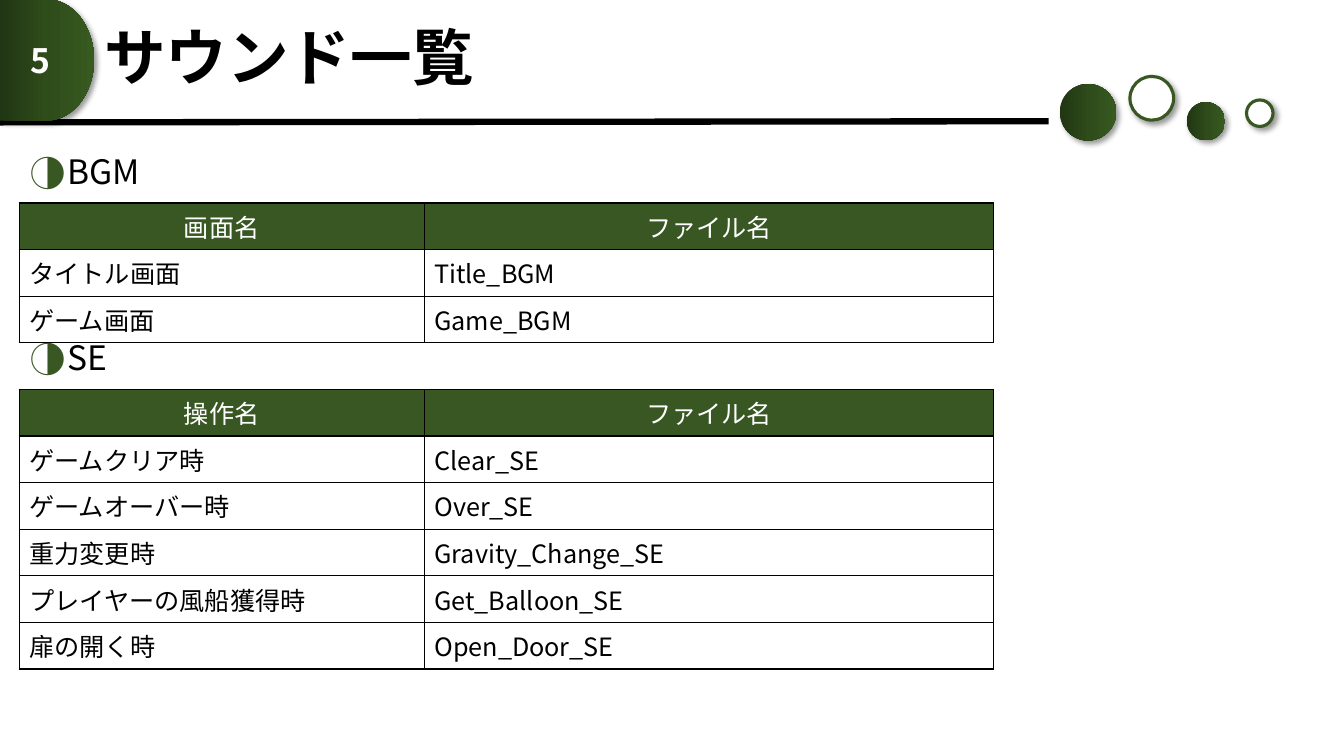
from copy import deepcopy
from pptx import Presentation
from pptx.dml.color import RGBColor as Rgb
from pptx.enum.shapes import MSO_CONNECTOR as Link, MSO_SHAPE as Kind
from pptx.enum.text import MSO_ANCHOR as Anchor, MSO_AUTO_SIZE as Auto, PP_ALIGN as Align
from pptx.oxml.ns import qn
from pptx.oxml.xmlchemy import OxmlElement as Node
from pptx.util import Pt

TITLE = "サウンド一覧"
PAGE = "5"
PARTS = [
    ("BGM", 107.2, [
        ("画面名", "ファイル名"),
        ("タイトル画面", "Title_BGM"),
        ("ゲーム画面", "Game_BGM"),
    ]),
    ("SE", 240.4, [
        ("操作名", "ファイル名"),
        ("ゲームクリア時", "Clear_SE"),
        ("ゲームオーバー時", "Over_SE"),
        ("重力変更時", "Gravity_Change_SE"),
        ("プレイヤーの風船獲得時", "Get_Balloon_SE"),
        ("扉の開く時", "Open_Door_SE"),
    ]),
]
DOTS = [
    (756.9, 60, 40.4, True),
    (807.1, 54.6, 31.2, False),
    (847.6, 72.9, 27.4, True),
    (890.4, 71.4, 18.9, False),
]
COLORS = {
    "green": "385723", "black": "000000", "white": "FFFFFF",
    "dark": "213613", "mid": "2F4C1B", "light": "375A20",
}
FONT = "Noto Sans CJK JP"
LEFT, HEAD_H, ROW_H = 13.7, 37.8, 29.2
COLS = (289.4, 406.8)


def tint(name):
    return Rgb.from_string(COLORS[name])


def add(parent, tag, **attrs):
    node = Node(tag)
    for key, val in attrs.items():
        node.set(key, str(val))
    parent.append(node)
    return node


def place(shape, x, y, w, h):
    shape.left, shape.top, shape.width, shape.height = Pt(x), Pt(y), Pt(w), Pt(h)


def write(para, text, size, color="black", bold=False, align=Align.LEFT):
    para.alignment = align
    run = para.add_run()
    run.text = text
    font = run.font
    font.name, font.size, font.bold = FONT, Pt(size), bold
    font.color.rgb = tint(color)
    add(run._r.get_or_add_rPr(), "a:ea", typeface=FONT)


def shade(shape):
    shape.shadow.inherit = False
    effects = shape._element.spPr.find(qn("a:effectLst"))
    outer = add(effects, "a:outerShdw", blurRad=Pt(4), dist=Pt(3),
                dir=45 * 60000, algn="tl", rotWithShape=0)
    add(add(outer, "a:srgbClr", val=COLORS["black"]), "a:alpha", val=40000)


def blend(shape, middle):
    shape.line.fill.background()
    fill = shape.fill
    fill.gradient()
    fill.gradient_angle = 0
    stops = shape._element.spPr.find(qn("a:gradFill")).find(qn("a:gsLst"))
    stops.insert(1, deepcopy(stops[0]))
    for stop, spot, name in zip(fill.gradient_stops, (0, middle, 1),
                                ("dark", "mid", "light")):
        stop.position = spot
        stop.color.rgb = tint(name)


def bullet(para):
    props = para._p.get_or_add_pPr()
    props.set("marL", str(Pt(27)))
    props.set("indent", str(Pt(-27)))
    add(add(props, "a:buClr"), "a:srgbClr", val=COLORS["green"])
    add(props, "a:buSzPct", val=110000)
    add(props, "a:buFont", typeface=FONT)
    add(props, "a:buChar", char="◑")


def border(cell):
    props = cell._tc.get_or_add_tcPr()
    for side in "LRTB":
        line = add(props, "a:ln" + side, w=Pt(1))
        add(add(line, "a:solidFill"), "a:srgbClr", val=COLORS["black"])


def draw_table(slide, top, rows):
    frame = slide.shapes.add_table(len(rows), len(COLS), Pt(LEFT), Pt(top),
                                   Pt(sum(COLS)), Pt(ROW_H * len(rows)))
    table = frame.table
    table.horz_banding = False
    for col, width in zip(table.columns, COLS):
        col.width = Pt(width)
    for i, row in enumerate(rows):
        table.rows[i].height = Pt(ROW_H)
        for j, text in enumerate(row):
            cell = table.cell(i, j)
            border(cell)
            cell.fill.solid()
            cell.fill.fore_color.rgb = tint("white" if i else "green")
            write(cell.text_frame.paragraphs[0], text, 18,
                  "black" if i else "white",
                  align=Align.LEFT if i else Align.CENTER)


def main():
    deck = Presentation()
    deck.slide_width, deck.slide_height = Pt(960), Pt(540)
    slide = deck.slides.add_slide(deck.slide_layouts[3])
    shapes = slide.shapes
    title, *heads = slide.placeholders

    rule = shapes.add_connector(Link.STRAIGHT, Pt(0), Pt(87.4), Pt(749), Pt(86.6))
    rule.line.color.rgb = tint("black")
    rule.line.width = Pt(4.5)
    add(rule._element.spPr, "a:effectLst")

    for x, y, size, full in DOTS:
        dot = shapes.add_shape(Kind.OVAL, Pt(x), Pt(y), Pt(size), Pt(size))
        if full:
            blend(dot, 0.54)
        else:
            dot.fill.solid()
            dot.fill.fore_color.rgb = tint("white")
            dot.line.color.rgb = tint("green")
            dot.line.width = Pt(2.25)
        shade(dot)

    badge = shapes.add_shape(Kind.FLOWCHART_DELAY, Pt(0), Pt(-0.5), Pt(67.2), Pt(86.6))
    blend(badge, 0.5)
    shade(badge)
    badge.text_frame.vertical_anchor = Anchor.MIDDLE
    write(badge.text_frame.paragraphs[0], PAGE, 24, "white", True, Align.CENTER)

    place(title, 67.2, 0, 681.8, 86.4)
    title.text_frame.auto_size = Auto.NONE
    title.text_frame.vertical_anchor = Anchor.MIDDLE
    para = title.text_frame.paragraphs[0]
    para.line_spacing = 0.9
    write(para, TITLE, 44, bold=True)

    for head, (name, top, rows) in zip(heads, PARTS):
        place(head, LEFT, top, sum(COLS), HEAD_H)
        head.text_frame.auto_size = Auto.NONE
        para = head.text_frame.paragraphs[0]
        bullet(para)
        para.line_spacing = 0.9
        para.space_before = Pt(0)
        write(para, name, 24)
        draw_table(slide, top + HEAD_H, rows)

    deck.save("out.pptx")


if __name__ == "__main__":
    main()
